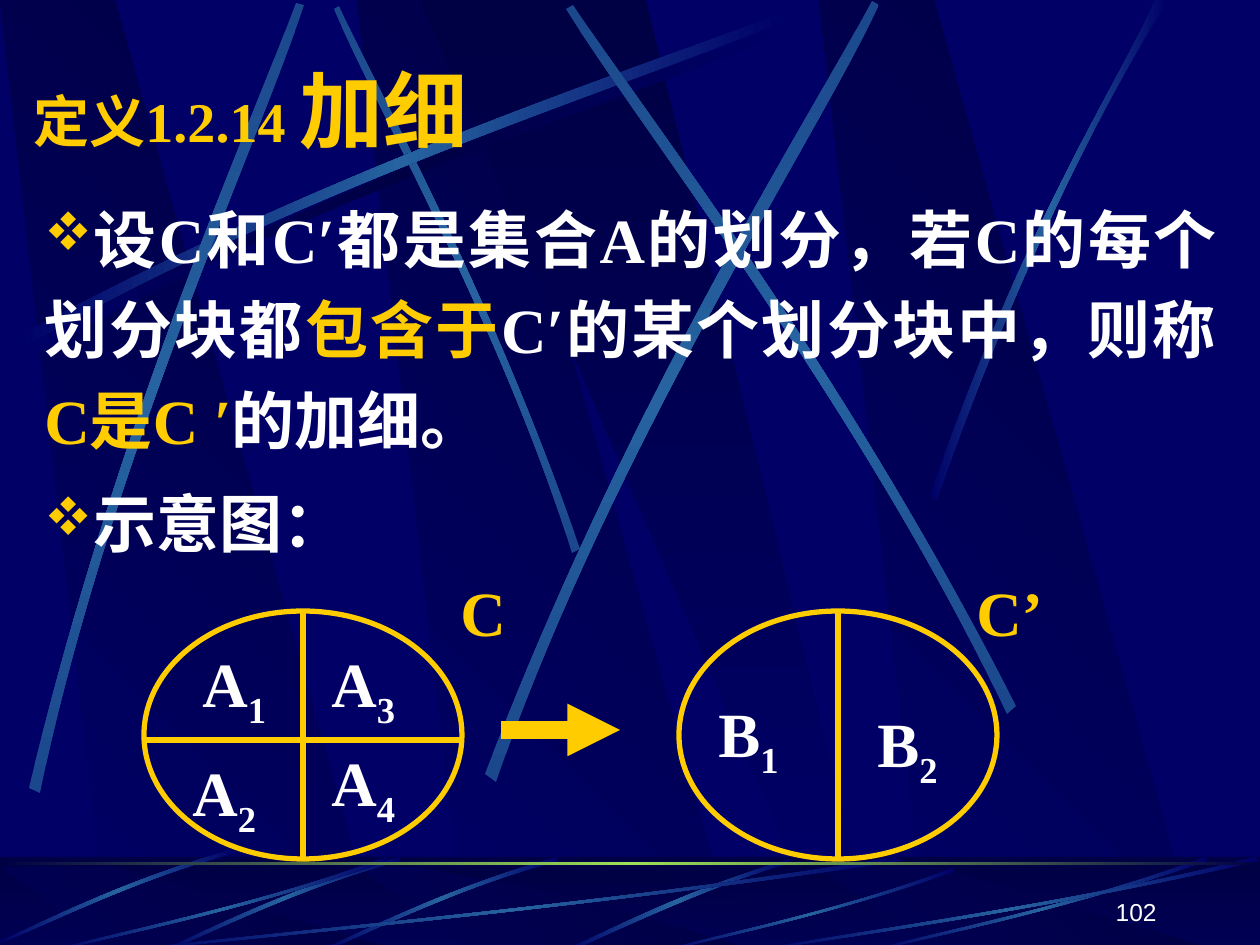
from dataclasses import dataclass

import lxml.etree
import pptx
import pptx.dml.color
import pptx.enum.shapes
import pptx.enum.text
import pptx.oxml.ns
import pptx.util

RGB = pptx.dml.color.RGBColor
NAVY = RGB(0x00, 0x00, 0x66)
MIDNIGHT = RGB(0x00, 0x00, 0x44)
BEAM = RGB(0x26, 0x63, 0xA0)
BEAM_TIP = RGB(0x1B, 0x48, 0x8C)
HORIZON = RGB(0x9C, 0xE1, 0x57)
GOLD = RGB(0xFF, 0xCC, 0x00)
WHITE = RGB(0xFF, 0xFF, 0xFF)
SERIF = "Times New Roman"
EMU_PER_PX = 914400 / 126
WIDTH, HEIGHT = 1260, 945
FLOOR_TOP = 857
qn = pptx.oxml.ns.qn
SHAPE = pptx.enum.shapes.MSO_SHAPE
ALIGN = pptx.enum.text.PP_ALIGN
ANCHOR = pptx.enum.text.MSO_ANCHOR


@dataclass(frozen=True)
class Streak:
    there: tuple
    back: tuple
    tip: RGB = NAVY
    middle: RGB = BEAM
    angle: int = 0

    def moved(self, dx: int, dy: int, middle: RGB = BEAM) -> "Streak":
        there, back = ([(x + dx, y + dy) for x, y in edge] for edge in (self.there, self.back))
        return Streak(there, back, self.tip, middle, self.angle)


@dataclass(frozen=True)
class Band:
    left: int
    corners: tuple
    colors: tuple = (NAVY, MIDNIGHT)
    angle: int = 315


@dataclass(frozen=True)
class Label:
    left: int
    top: int
    letter: str
    index: str = ""
    color: RGB = WHITE


SLANT = (108, 380, 115, 0)
BANDS = [Band(left, SLANT) for left in (357, 0, 819)]
BANDS.append(Band(420, (409, 454, 226, 0), (MIDNIGHT, NAVY), 90))

RISING = Streak(((18, 336), (350, 158), (653, 64), (781, 13)),
                ((785, 20), (658, 77), (312, 180), (21, 349)))
SKY_STREAKS = [
    RISING.moved(7, 10, MIDNIGHT),
    Streak(((580, 549), (492, 295), (381, 97), (339, 6)),
           ((334, 9), (372, 100), (501, 325), (572, 553)), BEAM_TIP, BEAM, 90),
    RISING,
    Streak(((29, 788), (117, 421), (248, 132), (296, 3)),
           ((304, 5), (261, 137), (108, 464), (40, 793)), BEAM_TIP, BEAM, 90),
    Streak(((485, 774), (627, 403), (804, 128), (872, 1)),
           ((879, 5), (818, 136), (612, 447), (496, 782)), BEAM_TIP, BEAM, 90),
    Streak(((1016, 706), (844, 369), (650, 120), (573, 5)),
           ((566, 9), (639, 127), (863, 410), (1007, 714)), BEAM_TIP, BEAM, 90),
    Streak(((930, 496), (1026, 218), (1119, 83), (1155, 0)),
           ((1168, 0), (1053, 183), (969, 406), (937, 500))),
]

LOW = Streak(((557, 857), (447, 888), (362, 932), (323, 949)),
             ((324, 951), (363, 936), (460, 886), (559, 861)))
FAN_THERE = ((1, 0.04), (0.57, 0.57), (0.17, 0.85), (0.01, 1))
FAN_BACK = ((0, 0.99), (0.16, 0.82), (0.62, 0.51), (0.99, 0))


def fan(left: int, top: int, width: int) -> Streak:
    there, back = ([(left + width * x, top + (951 - top) * y) for x, y in edge]
                   for edge in (FAN_THERE, FAN_BACK))
    return Streak(there, back)


FLOOR_STREAKS = [
    Streak(((790, 859), (677, 893), (601, 935), (564, 950)),
           ((571, 951), (617, 930), (719, 882), (791, 863))),
    LOW, LOW.moved(-158, 0), LOW.moved(-323, -8),
    fan(126, 857, 777), fan(53, 857, 336), fan(664, 868, 291),
    fan(872, 857, 336), fan(756, 857, 504),
]

LABELS = [
    Label(411, 552, "C", color=GOLD), Label(927, 552, "C’", color=GOLD),
    Label(153, 621, "A", "1"), Label(143, 730, "A", "2"),
    Label(282, 621, "A", "3"), Label(282, 720, "A", "4"),
    Label(669, 671, "B", "1"), Label(828, 681, "B", "2"),
]


def px(length: float) -> pptx.util.Emu:
    return pptx.util.Emu(round(length * EMU_PER_PX))


def paint_gradient(shape, colors: tuple, angle: int) -> None:
    shape.fill.gradient()
    shape.fill.gradient_angle = -angle % 360
    stops = shape._element.spPr.find(".//" + qn("a:gsLst"))
    stops.clear()
    for i, color in enumerate(colors):
        stop = lxml.etree.SubElement(stops, qn("a:gs"), pos=str(100000 * i // (len(colors) - 1)))
        lxml.etree.SubElement(stop, qn("a:srgbClr"), val=str(color))
    shape.line.fill.background()
    shape.shadow.inherit = False


def add_outline(slide, points: list, colors: tuple, angle: int):
    start, *rest = [(px(x), px(y)) for x, y in points]
    builder = slide.shapes.build_freeform(*start)
    builder.add_line_segments(rest, close=True)
    outline = builder.convert_to_shape()
    paint_gradient(outline, colors, angle)
    return outline


def add_streaks(slide, streaks: list) -> None:
    for s in streaks:
        ribbon = add_outline(slide, [*s.there, *s.back], (s.tip, s.middle, s.tip), s.angle)
        segments = ribbon._element.spPr.findall(".//" + qn("a:lnTo"))
        for edge in (segments[:3], segments[4:7]):
            curve = lxml.etree.Element(qn("a:cubicBezTo"))
            edge[0].addprevious(curve)
            for segment in edge:
                curve.append(segment[0])
                segment.getparent().remove(segment)


def add_bands(slide, top: int, bottom: int) -> None:
    for band in BANDS:
        points = [(band.left + x, y) for x, y in zip(band.corners, (bottom, bottom, top, top))]
        add_outline(slide, points, band.colors, band.angle)


def add_shape(slide, kind, left: int, top: int, width: int, height: int):
    shape = slide.shapes.add_shape(kind, px(left), px(top), px(width), px(height))
    shape.shadow.inherit = False
    return shape


def add_backdrop(slide) -> None:
    slide.background.fill.solid()
    slide.background.fill.fore_color.rgb = NAVY
    add_bands(slide, 0, HEIGHT)
    add_streaks(slide, SKY_STREAKS)
    floor_box = (0, FLOOR_TOP, WIDTH, HEIGHT - FLOOR_TOP)
    paint_gradient(add_shape(slide, SHAPE.RECTANGLE, *floor_box), (MIDNIGHT, NAVY), 90)
    add_bands(slide, 867, HEIGHT)
    veil = add_shape(slide, SHAPE.RECTANGLE, *floor_box)
    veil.fill.solid()
    veil.fill.fore_color.rgb = MIDNIGHT
    veil.line.fill.background()
    tint = veil._element.spPr.find(".//" + qn("a:srgbClr"))
    lxml.etree.SubElement(tint, qn("a:alpha"), val="50000")
    add_streaks(slide, FLOOR_STREAKS)
    horizon = add_shape(slide, SHAPE.RECTANGLE, 0, 862, WIDTH, 3)
    paint_gradient(horizon, (MIDNIGHT, HORIZON, MIDNIGHT), 0)


def add_line(slide, x1: int, y1: int, x2: int, y2: int, weight: int = 3, arrow: bool = False) -> None:
    line = slide.shapes.add_connector(pptx.enum.shapes.MSO_CONNECTOR.STRAIGHT, px(x1), px(y1), px(x2), px(y2))
    line.line.color.rgb = GOLD
    line.line.width = pptx.util.Pt(weight)
    if arrow:
        lxml.etree.SubElement(line.line._get_or_add_ln(), qn("a:tailEnd"), type="triangle")
    lxml.etree.SubElement(line._element.spPr, qn("a:effectLst"))


def add_partition(slide, left: int) -> None:
    oval = add_shape(slide, SHAPE.OVAL, left, 611, 318, 248)
    oval.fill.background()
    oval.line.color.rgb = GOLD
    oval.line.width = pptx.util.Pt(3)
    add_line(slide, left + 159, 611, left + 159, 859)


def add_text(slide, left: int, top: int, width: int, height: int, anchor=ANCHOR.TOP):
    frame = slide.shapes.add_textbox(px(left), px(top), px(width), px(height)).text_frame
    frame.word_wrap = True
    frame.vertical_anchor = anchor
    return frame


def style(paragraph, size: int, color: RGB, name: str = SERIF, bold: bool = True) -> None:
    font = paragraph.font
    font.size, font.name, font.bold = pptx.util.Pt(size), name, bold
    font.color.rgb = color


def add_title(slide) -> None:
    title = add_text(slide, 21, 52, 1197, 113, ANCHOR.MIDDLE).paragraphs[0]
    style(title, 32, GOLD)
    title.add_run().text = "定义1.2.14 "
    term = title.add_run()
    term.text = "加细"
    term.font.size = pptx.util.Pt(48)


def add_definition(slide) -> None:
    frame = add_text(slide, 32, 179, 1197, 703)
    statement = [("设C和C′都是集合A的划分，若C的每个划分块都", WHITE), ("包含于", GOLD),
                 ("C′的某个划分块中，则称", WHITE), ("C是C ′", GOLD), ("的加细。", WHITE)]
    for i, pieces in enumerate((statement, [("示意图：", WHITE)])):
        paragraph = frame.add_paragraph() if i else frame.paragraphs[0]
        paragraph.alignment = ALIGN.JUSTIFY
        paragraph.line_spacing = 1.2
        paragraph.space_before = pptx.util.Pt(7)
        properties = paragraph._p.get_or_add_pPr()
        bullet_color = lxml.etree.SubElement(properties, qn("a:buClr"))
        lxml.etree.SubElement(bullet_color, qn("a:srgbClr"), val=str(GOLD))
        lxml.etree.SubElement(properties, qn("a:buSzPct"), val="85000")
        lxml.etree.SubElement(properties, qn("a:buFont"), typeface="Wingdings", charset="2")
        lxml.etree.SubElement(properties, qn("a:buChar"), char="v")
        style(paragraph, 36, WHITE)
        for text, color in pieces:
            run = paragraph.add_run()
            run.text = text
            run.font.color.rgb = color


def add_label(slide, label: Label) -> None:
    paragraph = add_text(slide, label.left, label.top, 179, 103).paragraphs[0]
    paragraph.line_spacing = 1.2
    paragraph._p.get_or_add_pPr().set("indent", str(px(37)))
    style(paragraph, 36, label.color)
    paragraph.add_run().text = label.letter
    if label.index:
        index = paragraph.add_run()
        index.text = label.index
        index.font._element.set("baseline", "-25000")


def main() -> None:
    deck = pptx.Presentation()
    deck.slide_width, deck.slide_height = px(WIDTH), px(HEIGHT)
    slide = deck.slides.add_slide(deck.slide_layouts[6])
    add_backdrop(slide)
    add_title(slide)
    add_definition(slide)
    add_partition(slide, 144)
    add_line(slide, 144, 740, 462, 740)
    add_line(slide, 501, 730, 620, 730, 10, arrow=True)
    add_partition(slide, 679)
    for label in LABELS:
        add_label(slide, label)
    number = add_text(slide, 907, 870, 262, 63, ANCHOR.BOTTOM).paragraphs[0]
    number.alignment = ALIGN.RIGHT
    style(number, 14, WHITE, "Arial", False)
    number.add_run().text = "102"
    deck.save("out.pptx")


if __name__ == "__main__":
    main()
